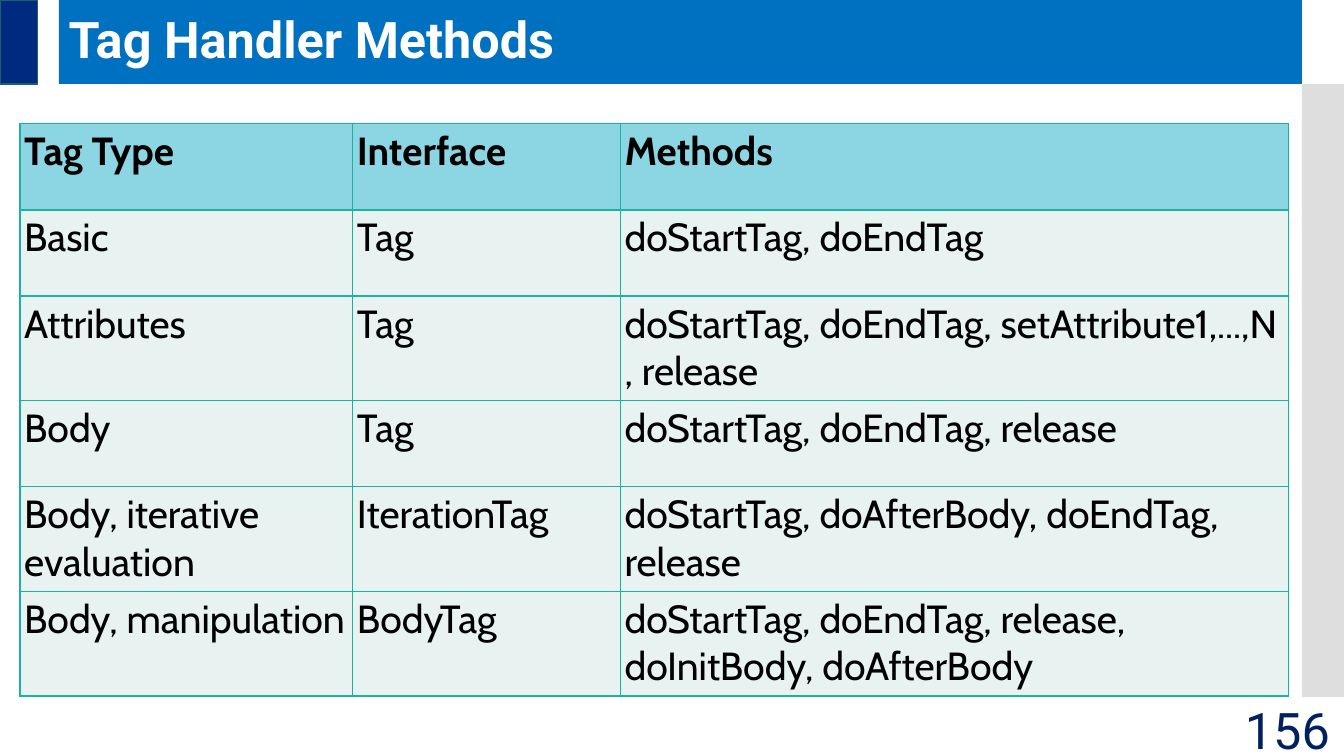
from lxml.etree import SubElement
from pptx import Presentation
from pptx.dml.color import RGBColor
from pptx.enum.shapes import MSO_SHAPE
from pptx.enum.text import MSO_ANCHOR, PP_ALIGN
from pptx.oxml.ns import qn
from pptx.util import Pt

PIXEL = 9525  # EMU, 96 px to the inch
NO_BREAK_SPACE = chr(160)


def px(length):
    return length * PIXEL


def color(code):
    return RGBColor.from_string(code)


class Page:
    title_font = "Roboto"
    table_font = "Cabin"
    border = "1AB39F"
    header_fill = "8CD6E4"
    body_fill = "E8F2F0"

    def __init__(self, deck):
        self.shapes = deck.slides.add_slide(deck.slide_layouts[6]).shapes

    def bar(self, left, top, width, height, fill, line=None, opacity=None):
        bar = self.shapes.add_shape(
            MSO_SHAPE.RECTANGLE, px(left), px(top), px(width), px(height))
        bar.shadow.inherit = False
        bar.fill.solid()
        bar.fill.fore_color.rgb = color(fill)
        if opacity:
            shade = bar.fill._xPr.find(qn("a:solidFill"))[0]
            SubElement(shade, qn("a:alpha"), val=str(opacity * 1000))
        if line:
            bar.line.color.rgb = color(line)
            bar.line.width = Pt(0.85)
        else:
            bar.line.fill.background()

    def style(self, para, size, font, ink, bold=False):
        para.font.size = Pt(size)
        para.font.name = font
        para.font.color.rgb = color(ink)
        para.font.bold = bold

    def text(self, left, top, width, height, words, ink,
             bold=False, align=PP_ALIGN.LEFT, spacing=1.0):
        box = self.shapes.add_textbox(px(left), px(top), px(width), px(height))
        frame = box.text_frame
        frame.word_wrap = True
        frame.vertical_anchor = MSO_ANCHOR.MIDDLE
        para = frame.paragraphs[0]
        para.text = words
        para.alignment = align
        para.line_spacing = spacing
        self.style(para, 36, self.title_font, ink, bold)

    def cell(self, cell, words, header):
        cell.margin_left = cell.margin_right = cell.margin_top = px(4)
        cell.margin_bottom = px(6)
        cell.text = words
        for para in cell.text_frame.paragraphs:
            self.style(para, 28, self.table_font, "000000", header)
        # Borders come before the fill in the cell properties
        properties = cell._tc.get_or_add_tcPr()
        for side in ("lnL", "lnR", "lnT", "lnB"):
            line = SubElement(properties, qn(f"a:{side}"), w=str(Pt(1)))
            fill = SubElement(line, qn("a:solidFill"))
            SubElement(fill, qn("a:srgbClr"), val=self.border)
        cell.fill.solid()
        cell.fill.fore_color.rgb = color(
            self.header_fill if header else self.body_fill)

    def table(self, left, top, widths, row_height, rows):
        table = self.shapes.add_table(
            len(rows), len(widths), px(left), px(top),
            px(sum(widths)), px(row_height * len(rows))).table
        table.first_row = table.horz_banding = False
        for column, width in zip(table.columns, widths):
            column.width = px(width)
        for row, words in enumerate(rows):
            table.rows[row].height = px(row_height)
            for column, entry in enumerate(words):
                self.cell(table.cell(row, column), entry, row == 0)


# Tag type, interface and methods, one list of methods a line
TAGS = [
    ("Basic", "Tag", "doStartTag, doEndTag"),
    ("Attributes", "Tag",
     "doStartTag, doEndTag, setAttribute1,...,N, release"),
    ("Body", "Tag", "doStartTag, doEndTag, release"),
    ("Body, iterative evaluation", "IterationTag",
     "doStartTag, doAfterBody, doEndTag,\nrelease"),
    ("Body, manipulation", "BodyTag",
     "doStartTag, doEndTag, release,\ndoInitBody, doAfterBody"),
]


def main():
    deck = Presentation()
    deck.slide_width, deck.slide_height = px(1280), px(720)
    page = Page(deck)

    # Frame
    page.bar(56, 0, 1184, 80, "0070C0")
    page.bar(1240, 80, 40, 584, "BFBFBF", opacity=50)
    page.bar(0, 0, 36, 80, "002A7E", line="1A616F")

    # Title
    page.text(56, 0, 1184, 80, "Tag Handler Methods", "FFFFFF",
              bold=True, spacing=0.9)

    # Table: method names are held together by no-break spaces
    rows = [("Tag Type", "Interface", "Methods")]
    rows += [(kind, interface, methods.replace(" ", NO_BREAK_SPACE))
             for kind, interface, methods in TAGS]
    page.table(19, 118, (317, 255, 636), 82, rows)

    # Page number
    page.text(1116, 676, 160, 38, "156", "002060", align=PP_ALIGN.RIGHT)

    deck.save("out.pptx")


if __name__ == "__main__":
    main()
